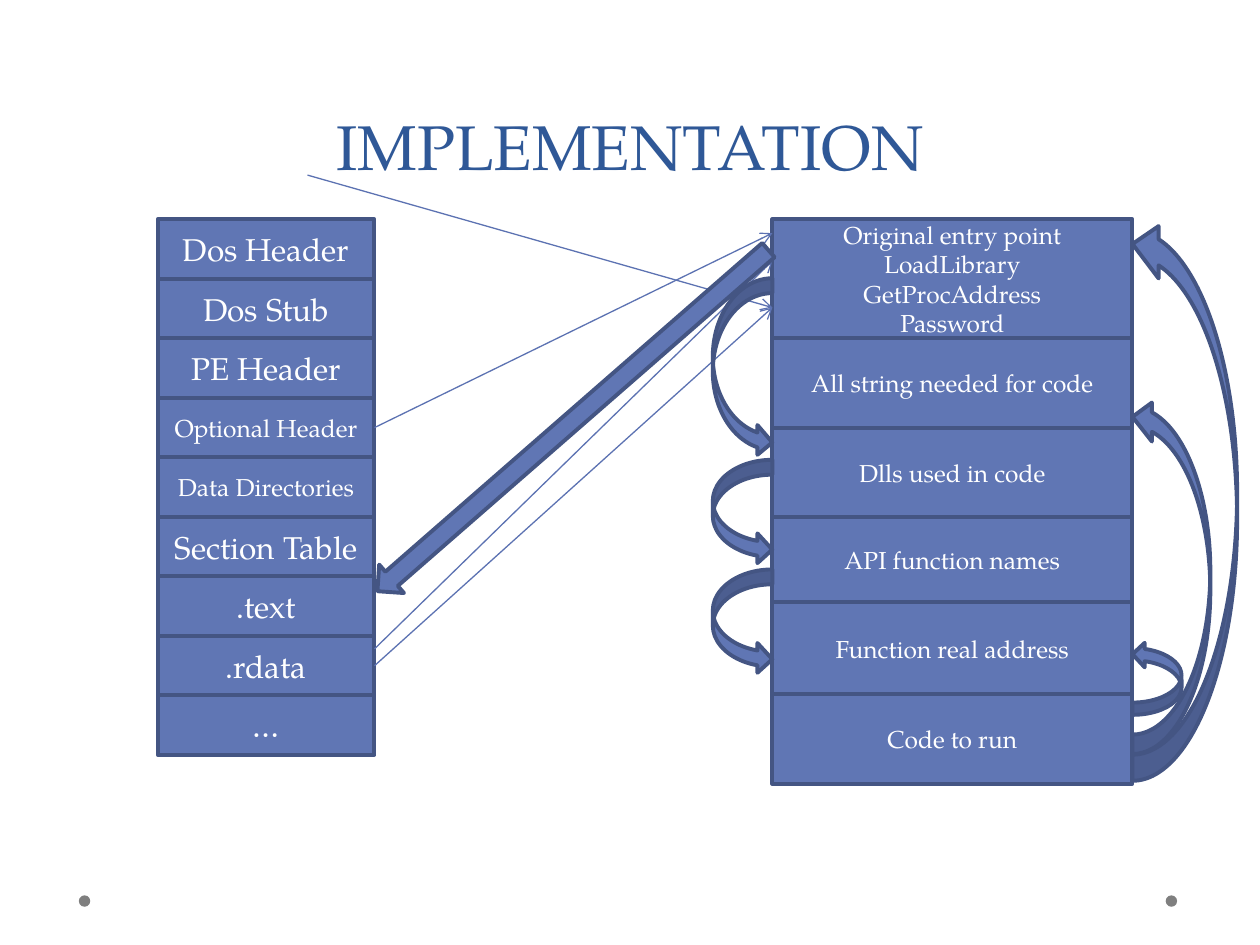
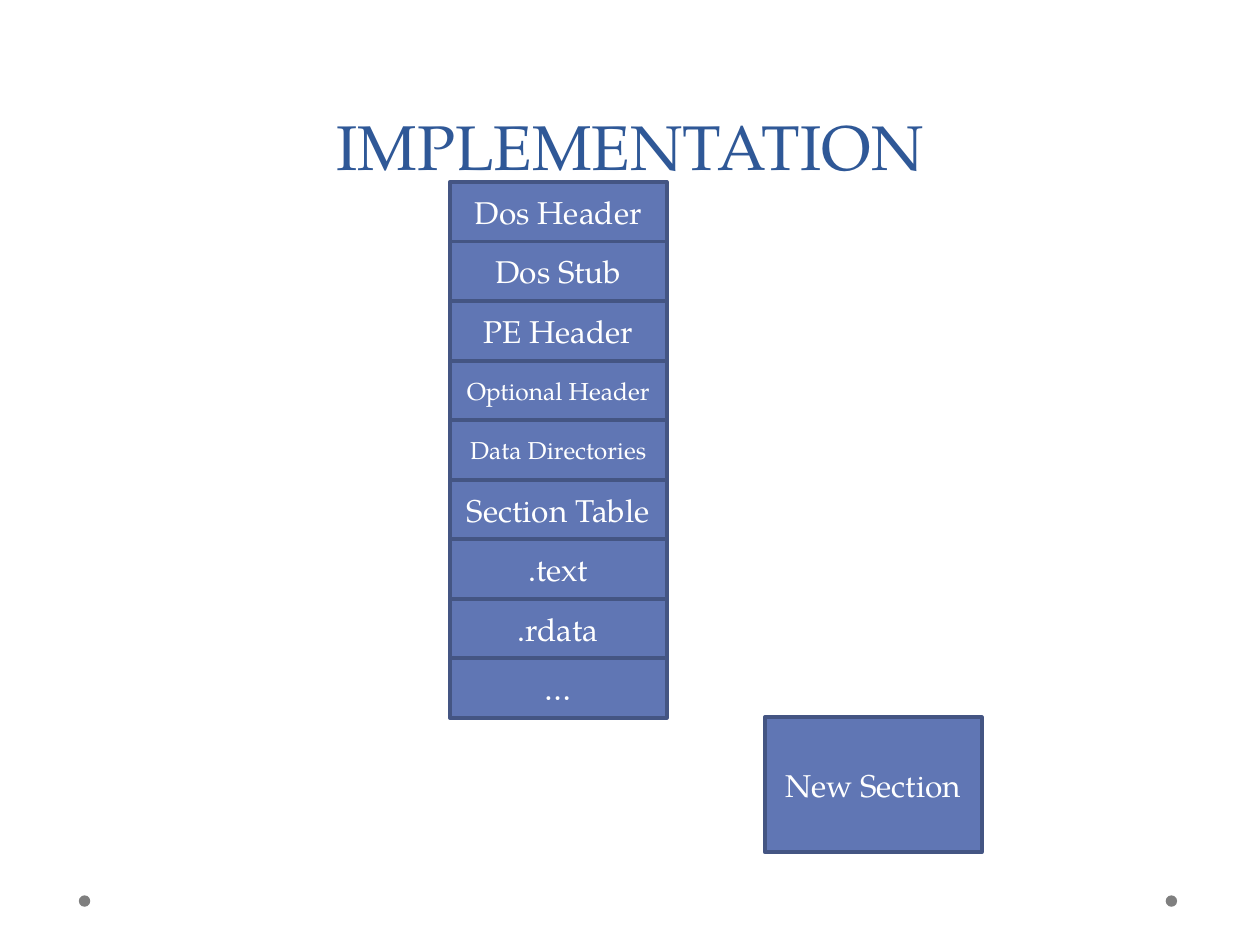
import dataclasses

import lxml.etree
import pptx
import pptx.dml.color
import pptx.enum.shapes
import pptx.enum.text
import pptx.oxml.ns
import pptx.util

Cm = pptx.util.Cm
Pt = pptx.util.Pt
PRESET = pptx.enum.shapes.MSO_SHAPE
RIGHT_SIDE = 3


@dataclasses.dataclass(frozen=True)
class Theme:
    font: str = "TeX Gyre Pagella"
    title: str = "2F5897"
    fill: str = "6076B4"
    outline: str = "445583"
    link: str = "5C72B2"
    dot: str = "7F7F7F"
    text: str = "FFFFFF"
    title_size: int = 36
    title_spacing: int = 58
    large: int = 18
    small: int = 14
    outline_width: float = 2.25
    link_width: float = 0.75


THEME = Theme()

# Lengths below are in centimetres
HEADER_WIDTH = 4.37
HEADER_HEIGHT = 1.2
HEADER_ROWS = [
    ("Dos Header", THEME.large),
    ("Dos Stub", THEME.large),
    ("PE Header", THEME.large),
    ("Optional Header", THEME.small),
    ("Data Directories", THEME.small),
    ("Section Table", THEME.large),
    (".text", THEME.large),
    (".rdata", THEME.large),
    ("…", THEME.large),
]

SECTION_LEFT, SECTION_WIDTH = 15.57, 7.26
SECTION_ROWS = [
    ("Original entry point\nLoadLibrary\nGetProcAddress\nPassword", 2.4),
    ("All string needed for code", 1.8),
    ("Dlls used in code", 1.8),
    ("API function names", 1.72),
    ("Function real address", 1.86),
    ("Code to run", 1.8),
]
STACK_TOP = 4.42


def rgb(value):
    return pptx.dml.color.RGBColor.from_string(value)


def add_text(paragraph, text, size, color):
    paragraph.alignment = pptx.enum.text.PP_ALIGN.CENTER
    run = paragraph.add_run()
    run.text = text
    run.font.name = THEME.font
    run.font.size = Pt(size)
    run.font.color.rgb = rgb(color)


def add_preset(slide, preset, left, top, width, height, fill=THEME.fill):
    shape = slide.shapes.add_shape(
        preset, Cm(left), Cm(top), Cm(width), Cm(height))
    shape.shadow.inherit = False
    shape.fill.solid()
    shape.fill.fore_color.rgb = rgb(fill)
    shape.line.color.rgb = rgb(THEME.outline)
    shape.line.width = Pt(THEME.outline_width)
    return shape


def add_box(slide, text, size, left, top, width, height, preset=PRESET.RECTANGLE):
    box = add_preset(slide, preset, left, top, width, height)
    frame = box.text_frame
    frame.word_wrap = True
    frame.vertical_anchor = pptx.enum.text.MSO_ANCHOR.MIDDLE
    for index, line in enumerate(text.split("\n")):
        paragraph = frame.add_paragraph() if index else frame.paragraphs[0]
        add_text(paragraph, line, size, THEME.text)
    return box


def add_header_stack(slide, left, top):
    """Stack the file header rows and return the boxes by label."""
    return {
        label: add_box(slide, label, size, left, top + row * HEADER_HEIGHT,
                       HEADER_WIDTH, HEADER_HEIGHT)
        for row, (label, size) in enumerate(HEADER_ROWS)
    }


def add_section_stack(slide):
    top = STACK_TOP
    for text, height in SECTION_ROWS:
        add_box(slide, text, THEME.small, SECTION_LEFT, top, SECTION_WIDTH, height)
        top += height


def add_link(slide, start, end, source=None):
    """Draw a thin arrow, joined to the right side of source if given."""
    points = [Cm(length) for length in (*start, *end)]
    link = slide.shapes.add_connector(
        pptx.enum.shapes.MSO_CONNECTOR.STRAIGHT, *points)
    if source is not None:
        link.begin_connect(source, RIGHT_SIDE)
    link.line.color.rgb = rgb(THEME.link)
    link.line.width = Pt(THEME.link_width)
    qn = pptx.oxml.ns.qn
    properties = link.element.spPr
    lxml.etree.SubElement(properties.find(qn("a:ln")), qn("a:tailEnd"), type="arrow")
    lxml.etree.SubElement(properties, qn("a:effectLst"))


def add_downward_loop(slide, top, length, depth=1.2):
    """Curve down along the left side of the section stack."""
    add_preset(slide, PRESET.CURVED_RIGHT_ARROW,
               SECTION_LEFT - depth, top, depth, length)


def add_upward_loop(slide, top, length, depth):
    """Curve up along the right side of the section stack."""
    turn = (length - depth) / 2
    loop = add_preset(slide, PRESET.CURVED_UP_ARROW,
                      SECTION_LEFT + SECTION_WIDTH - turn, top + turn, length, depth)
    loop.rotation = 270


def add_slide(presentation, title):
    """Start a slide with the shared title and footer dots."""
    slide = presentation.slides.add_slide(presentation.slide_layouts[5])
    shape = slide.shapes.title
    shape.left, shape.top = Cm(1.27), Cm(0.69)
    shape.width, shape.height = Cm(22.86), Cm(3.12)
    frame = shape.text_frame
    frame.vertical_anchor = pptx.enum.text.MSO_ANCHOR.BOTTOM
    frame.paragraphs[0].line_spacing = Pt(THEME.title_spacing)
    add_text(frame.paragraphs[0], title, THEME.title_size, THEME.title)
    for left in (23.5, 1.59):
        dot = add_preset(slide, PRESET.OVAL, left, 18.05, 0.23, 0.23, THEME.dot)
        dot.line.fill.background()
    return slide


def build_mapping_slide(presentation):
    slide = add_slide(presentation, "IMPLEMENTATION")
    header_left = 3.18
    headers = add_header_stack(slide, header_left, STACK_TOP)
    add_section_stack(slide)

    # Thin links into the first section
    edge = header_left + HEADER_WIDTH
    add_link(slide, (edge, 8.62), (SECTION_LEFT, 4.7), headers["Optional Header"])
    add_link(slide, (edge, 13.08), (SECTION_LEFT, 5.26))
    add_link(slide, (edge, 13.42), (SECTION_LEFT, 6.2), headers[".rdata"])
    add_link(slide, (6.2, 3.53), (SECTION_LEFT, 6.2))

    # Curved arrows between sections
    for top, length in [(5.61, 3.61), (9.27, 2.11), (11.48, 2.11)]:
        add_downward_loop(slide, top, length)
    for top, length, depth in [(12.94, 1.47, 0.99), (8.01, 7.19, 1.57),
                               (4.39, 11.35, 2.11)]:
        add_upward_loop(slide, top, length, depth)

    # Block arrow back to .text
    arrow = add_preset(slide, PRESET.LEFT_ARROW, 6.32, 8.1, 10.46, 0.76)
    arrow.rotation = 318.9


def build_new_section_slide(presentation):
    slide = add_slide(presentation, "IMPLEMENTATION")
    add_header_stack(slide, 9.07, 3.67)
    add_box(slide, "New Section", THEME.large, 15.42, 14.46, HEADER_WIDTH, 2.72,
            PRESET.FLOWCHART_PROCESS)


def main():
    presentation = pptx.Presentation()
    presentation.slide_width, presentation.slide_height = Cm(25.4), Cm(19.05)
    build_mapping_slide(presentation)
    build_new_section_slide(presentation)
    presentation.save("out.pptx")


if __name__ == "__main__":
    main()
